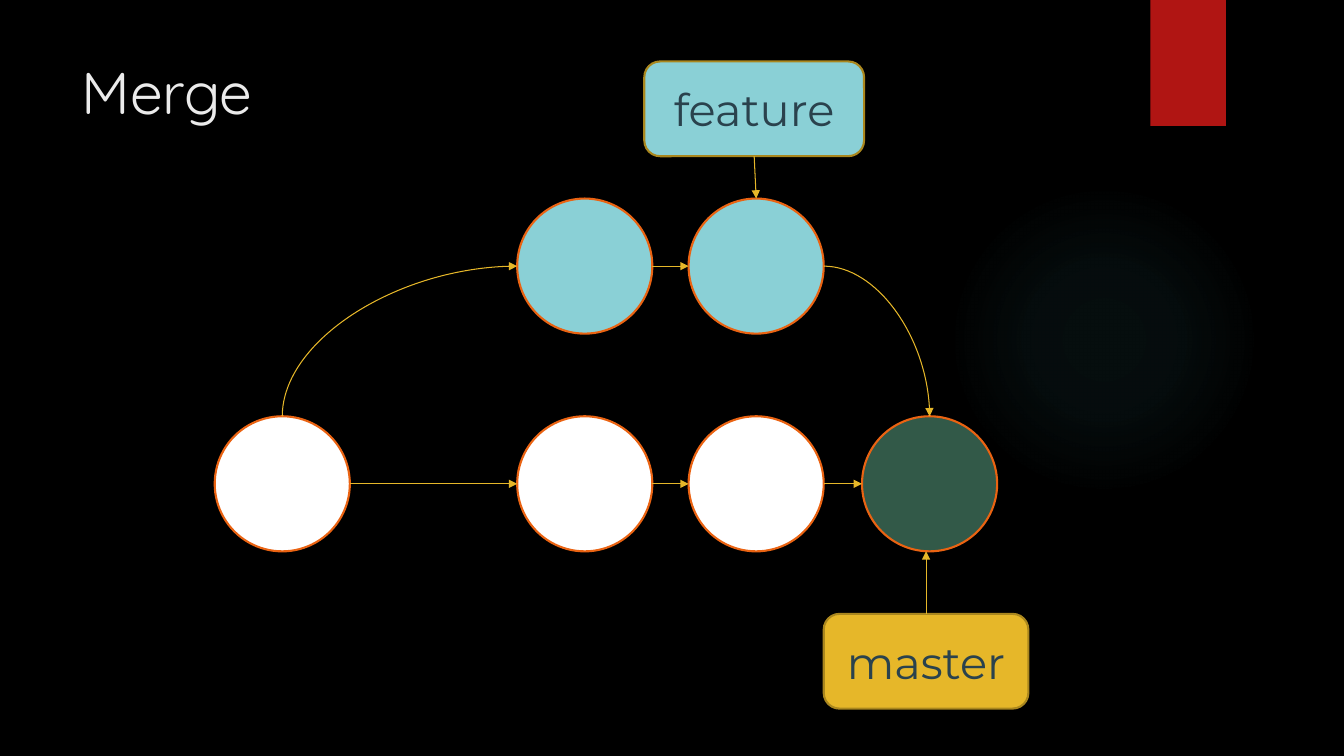
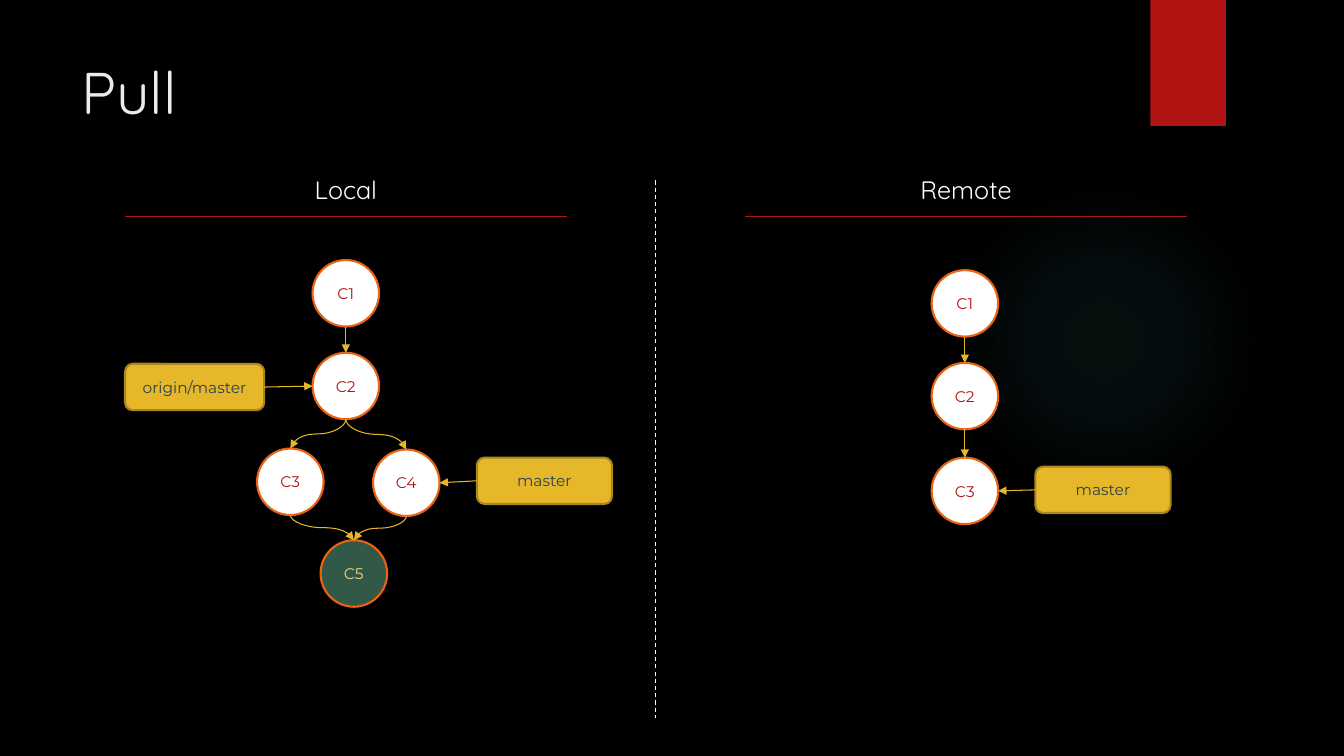
"""Build two slides on merging and pulling branches as commit graphs."""
from dataclasses import dataclass

from lxml import etree
from pptx import Presentation, util as u
from pptx.dml.color import RGBColor
from pptx.enum import dml, shapes, text
from pptx.oxml.ns import qn
from pptx.shapes.autoshape import Shape
from pptx.shapes.connector import Connector
from pptx.slide import Slide

Point = tuple[float, float]


@dataclass(frozen=True)
class Theme:
    background: str = "000000"
    title: str = "EBEBEB"
    white: str = "FFFFFF"
    red: str = "B01513"
    glow: str = "50B9C1"
    arrow: str = "E6B729"
    ring: str = "EA6312"
    gold: str = "E6B729"
    gold_edge: str = "AA871E"
    aqua: str = "8AD0D6"
    green: str = "325948"
    label_ink: str = "2A424D"
    merge_ink: str = "F0D47F"
    heading_font: str = "Quicksand"
    body_font: str = "Montserrat"
    title_size: float = 42
    big_label_size: float = 32
    heading_size: float = 18
    small_size: float = 11
    thin: float = 0.75
    outline: float = 1.5


THEME = Theme()


@dataclass(frozen=True)
class Node:
    left: float
    top: float
    width: float
    height: float
    fill: str = THEME.white
    caption: str = ""
    ink: str = THEME.red
    size: float = THEME.small_size
    edge: str = THEME.ring
    kind: shapes.MSO_SHAPE = shapes.MSO_SHAPE.OVAL

    @property
    def north(self) -> Point:
        return self.left + self.width / 2, self.top

    @property
    def south(self) -> Point:
        return self.left + self.width / 2, self.top + self.height

    @property
    def west(self) -> Point:
        return self.left, self.top + self.height / 2

    @property
    def east(self) -> Point:
        return self.left + self.width, self.top + self.height / 2


def big_commit(left: float, top: float, fill: str = THEME.white) -> Node:
    return Node(left, top, 1.34, 1.34, fill)


def commit(caption: str, left: float, top: float, fill: str = THEME.white,
           ink: str = THEME.red) -> Node:
    return Node(left, top, 0.66, 0.66, fill, caption, ink)


def label(caption: str, left: float, top: float, width: float, height: float = 0.46,
          fill: str = THEME.gold, size: float = THEME.small_size) -> Node:
    return Node(left, top, width, height, fill, caption, THEME.label_ink, size,
                THEME.gold_edge, shapes.MSO_SHAPE.ROUNDED_RECTANGLE)


def write(box: Shape, words: str, font: str, size: float, color: str,
          align: text.PP_ALIGN = text.PP_ALIGN.CENTER) -> None:
    box.text_frame.word_wrap = True
    para = box.text_frame.paragraphs[0]
    para.alignment = align
    span = para.add_run()
    span.text = words
    span.font.name = font
    span.font.size = u.Pt(size)
    span.font.color.rgb = RGBColor.from_string(color)


def draw_shape(page: Slide, kind: shapes.MSO_SHAPE, left: float, top: float,
               width: float, height: float, fill: str) -> Shape:
    box = page.shapes.add_shape(kind, *map(u.Inches, (left, top, width, height)))
    box.shadow.inherit = False
    box.fill.solid()
    box.fill.fore_color.rgb = RGBColor.from_string(fill)
    box.line.fill.background()
    return box


def draw_node(page: Slide, node: Node) -> None:
    box = draw_shape(page, node.kind, node.left, node.top, node.width, node.height, node.fill)
    box.line.color.rgb = RGBColor.from_string(node.edge)
    box.line.width = u.Pt(THEME.outline)
    box.text_frame.vertical_anchor = text.MSO_ANCHOR.MIDDLE
    if node.caption:
        write(box, node.caption, THEME.body_font, node.size, node.ink)


def draw_line(page: Slide, start: Point, end: Point, color: str,
              kind: shapes.MSO_CONNECTOR = shapes.MSO_CONNECTOR.STRAIGHT) -> Connector:
    line = page.shapes.add_connector(kind, *map(u.Inches, (*start, *end)))
    line.line.color.rgb = RGBColor.from_string(color)
    line.line.width = u.Pt(THEME.thin)
    etree.SubElement(line.element.spPr, qn("a:effectLst"))
    return line


def add_head(line: Connector) -> None:
    etree.SubElement(line.element.spPr.get_or_add_ln(), qn("a:tailEnd"), type="triangle")


def draw_arrow(page: Slide, start: Point, end: Point) -> None:
    add_head(draw_line(page, start, end, THEME.arrow))


def draw_curve(page: Slide, start: Point, end: Point, preset: str,
               upright: bool = True) -> None:
    """Draw a curved arrow; an upright one leaves its start vertically."""
    (x1, y1), (x2, y2) = start, end
    if upright:
        mid_x, mid_y = (x1 + x2) / 2, (y1 + y2) / 2
        half_w, half_h = abs(y2 - y1) / 2, abs(x2 - x1) / 2
        start, end = (mid_x - half_w, mid_y - half_h), (mid_x + half_w, mid_y + half_h)
    curve = draw_line(page, start, end, THEME.arrow, shapes.MSO_CONNECTOR.CURVE)
    properties = curve.element.spPr
    properties.find(qn("a:prstGeom")).set("prst", preset)
    if upright:
        right, down = x2 > x1, y2 > y1
        frame = properties.find(qn("a:xfrm"))
        frame.set("rot", str((270 if right and down else 90) * 60000))
        frame.set("flipH", str(int(right)))
        frame.set("flipV", str(int(not down)))
    add_head(curve)


def draw_glow(page: Slide) -> None:
    glow = draw_shape(page, shapes.MSO_SHAPE.OVAL, 9.41, 1.83, 3.08, 3.08, THEME.glow)
    properties = glow.element.spPr
    gradient = etree.Element(qn("a:gradFill"))
    stops = etree.SubElement(gradient, qn("a:gsLst"))
    for position, alpha in ((0, 7), (36, 6), (69, 0)):
        stop = etree.SubElement(stops, qn("a:gs"), pos=str(position * 1000))
        color = etree.SubElement(stop, qn("a:srgbClr"), val=THEME.glow)
        etree.SubElement(color, qn("a:alpha"), val=str(alpha * 1000))
    shade = etree.SubElement(gradient, qn("a:path"), path="circle")
    etree.SubElement(shade, qn("a:fillToRect"), l="50000", t="50000", r="50000", b="50000")
    properties.replace(properties.find(qn("a:solidFill")), gradient)


def draw_text(page: Slide, words: str, left: float, top: float, width: float, height: float,
              size: float, color: str, align: text.PP_ALIGN) -> None:
    box = page.shapes.add_textbox(*map(u.Inches, (left, top, width, height)))
    write(box, words, THEME.heading_font, size, color, align)


def add_page(deck: Presentation, title: str) -> Slide:
    page = deck.slides.add_slide(deck.slide_layouts[6])
    draw_glow(page)
    draw_shape(page, shapes.MSO_SHAPE.RECTANGLE, 11.41, 0, 0.75, 1.25, THEME.red)
    draw_text(page, title, 0.71, 0.5, 10.29, 1.53, THEME.title_size, THEME.title,
              text.PP_ALIGN.LEFT)
    return page


def draw_heading(page: Slide, words: str, left: float) -> None:
    width = 4.38
    draw_line(page, (left, 2.15), (left + width, 2.15), THEME.red)
    draw_text(page, words, left, 1.68, width, 0.4, THEME.heading_size, THEME.white,
              text.PP_ALIGN.CENTER)


def build_merge(deck: Presentation) -> None:
    page = add_page(deck, "Merge")
    base, second, third = (big_commit(left, 4.13) for left in (2.13, 5.13, 6.83))
    merged = big_commit(8.55, 4.13, THEME.green)
    branch, tip = (big_commit(left, 1.97, THEME.aqua) for left in (5.13, 6.83))
    master = label("master", 8.17, 6.09, 2.03, 0.94, size=THEME.big_label_size)
    feature = label("feature", 6.39, 0.61, 2.18, 0.94, THEME.aqua, THEME.big_label_size)
    for node in (base, second, third, merged, branch, tip, master, feature):
        draw_node(page, node)
    for source, target in ((base, second), (second, third), (third, merged), (branch, tip)):
        draw_arrow(page, source.east, target.west)
    draw_arrow(page, feature.south, tip.north)
    draw_arrow(page, master.north, (master.north[0], merged.south[1]))
    draw_curve(page, base.north, branch.west, "curvedConnector2")
    draw_curve(page, tip.east, merged.north, "curvedConnector2", upright=False)


def build_pull(deck: Presentation) -> None:
    page = add_page(deck, "Pull")
    divider = draw_line(page, (6.5, 1.79), (6.5, 7.12), THEME.white)
    divider.line.dash_style = dml.MSO_LINE.DASH
    draw_heading(page, "Local", 1.24)
    draw_heading(page, "Remote", 7.39)

    first, second = commit("C1", 3.1, 2.58), commit("C2", 3.1, 3.5)
    third, fourth = commit("C3", 2.55, 4.45), commit("C4", 3.7, 4.46)
    merged = commit("C5", 3.18, 5.36, THEME.green, THEME.merge_ink)
    origin = label("origin/master", 1.24, 3.61, 1.38)
    master = label("master", 4.73, 4.54, 1.34)
    remote = [commit(f"C{number}", 9.24, top)
              for number, top in enumerate((2.68, 3.6, 4.54), start=1)]
    remote_master = label("master", 10.27, 4.63, 1.34)
    for node in (first, second, third, fourth, merged, origin, master, *remote, remote_master):
        draw_node(page, node)
    for source, target in ((first, second), *zip(remote, remote[1:])):
        draw_arrow(page, source.south, target.north)
    draw_arrow(page, origin.east, second.west)
    draw_arrow(page, master.west, fourth.east)
    draw_arrow(page, remote_master.west, remote[-1].east)
    for source, target in ((second, third), (second, fourth), (third, merged), (fourth, merged)):
        draw_curve(page, source.south, target.north, "curvedConnector3")


def main() -> None:
    deck = Presentation()
    deck.slide_width, deck.slide_height = u.Inches(13.33), u.Inches(7.5)
    backdrop = deck.slide_masters[0].background.fill
    backdrop.solid()
    backdrop.fore_color.rgb = RGBColor.from_string(THEME.background)
    build_merge(deck)
    build_pull(deck)
    deck.save("out.pptx")


if __name__ == "__main__":
    main()
